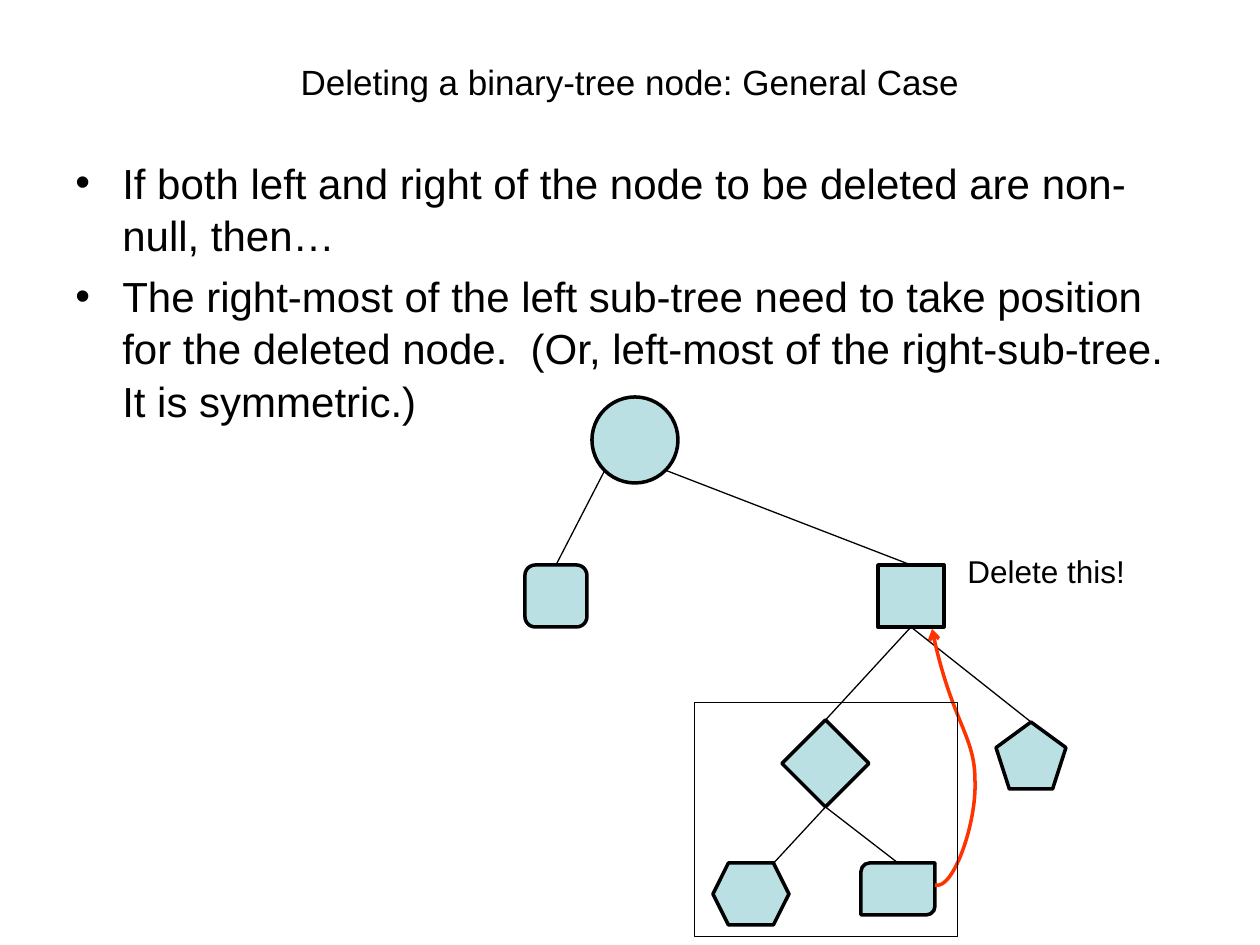
from lxml import etree
from pptx import Presentation
from pptx.dml.color import RGBColor
from pptx.enum.shapes import MSO_CONNECTOR, MSO_SHAPE
from pptx.enum.text import MSO_ANCHOR, PP_ALIGN
from pptx.oxml.ns import qn
from pptx.util import Pt

PX = 914400 / 126
FONT, BLACK, NODE_FILL, MOVE_COLOR = "Arial", "000000", "BBE0E3", "FF3300"
STRAIGHT = MSO_CONNECTOR.STRAIGHT
MIDDLE, CENTER = MSO_ANCHOR.MIDDLE, PP_ALIGN.CENTER

TITLE = "Deleting a binary-tree node: General Case"
POINTS = [
    "If both left and right of the node to be deleted are non-null, then…",
    "The right-most of the left sub-tree need to take position for the "
    "deleted node.  (Or, left-most of the right-sub-tree.  It is symmetric.)",
]
DELETE_LABEL = "Delete this!"

# node: (preset shape, left, top, width, height)
NODES = {
    "root": (MSO_SHAPE.OVAL, 592, 397, 86, 86),
    "deleted": (MSO_SHAPE.RECTANGLE, 878, 565, 66, 62),
    "root left": (MSO_SHAPE.ROUNDED_RECTANGLE, 525, 565, 62, 62),
    "subtree": (MSO_SHAPE.DIAMOND, 782, 720, 87, 87),
    "deleted right": (MSO_SHAPE.REGULAR_PENTAGON, 996, 722, 70, 67),
    "subtree left": (MSO_SHAPE.HEXAGON, 713, 863, 76, 62),
    "right-most": (MSO_SHAPE.ROUND_2_DIAG_RECTANGLE, 861, 863, 74, 52),
}
# A port is a point on a node, as fractions of its width and height
TOP, BOTTOM = (0.5, 0), (0.5, 1)
LOWER_LEFT, LOWER_RIGHT = (0.15, 0.85), (0.85, 0.85)
HEXAGON_TOP_RIGHT = (0.8, 0)
EDGES = [
    ("root", LOWER_LEFT, "root left", TOP),
    ("root", LOWER_RIGHT, "deleted", TOP),
    ("deleted", BOTTOM, "subtree", TOP),
    ("deleted", BOTTOM, "deleted right", TOP),
    ("subtree", BOTTOM, "subtree left", HEXAGON_TOP_RIGHT),
    ("subtree", BOTTOM, "right-most", TOP),
]
SUBTREE_FRAME = (694, 702, 263, 234)
# Start point, then two control points and an end point for each curve
MOVE_CURVE = [(935, 885), (953, 891), (977, 823), (975, 780),
              (975, 737), (951, 721), (932, 629)]


def emu(*lengths):
    return [round(length * PX) for length in lengths]


def rgb(color):
    return RGBColor.from_string(color)


def set_line(shape, color, width):
    shape.line.color.rgb = rgb(color)
    shape.line.width = Pt(width)


def add_run(paragraph, text, size):
    run = paragraph.add_run()
    run.text = text
    run.font.name, run.font.size = FONT, Pt(size)
    run.font.color.rgb = rgb(BLACK)


def add_text_frame(slide, *box):
    frame = slide.shapes.add_textbox(*emu(*box)).text_frame
    frame.word_wrap = True
    return frame


def add_bullets(frame, points, size):
    for index, point in enumerate(points):
        paragraph = frame.add_paragraph() if index else frame.paragraphs[0]
        paragraph.line_spacing = 1.04
        if index:
            paragraph.space_before = Pt(size * 0.2)
        properties = paragraph._p.get_or_add_pPr()
        indent = emu(47)[0]
        properties.set("marL", str(indent))
        properties.set("indent", str(-indent))
        etree.SubElement(properties, qn("a:buFont"), typeface=FONT)
        etree.SubElement(properties, qn("a:buChar"), char="•")
        add_run(paragraph, point, size)


def add_outlined(slide, preset, box, fill, width):
    shape = slide.shapes.add_shape(preset, *emu(*box))
    shape.shadow.inherit = False
    if fill:
        shape.fill.solid()
        shape.fill.fore_color.rgb = rgb(fill)
    else:
        shape.fill.background()
    set_line(shape, BLACK, width)


def port_position(node, port):
    _, left, top, width, height = NODES[node]
    return left + port[0] * width, top + port[1] * height


def add_edge(slide, parent, parent_port, child, child_port):
    ends = port_position(parent, parent_port) + port_position(child, child_port)
    edge = slide.shapes.add_connector(STRAIGHT, *emu(*ends))
    etree.SubElement(edge._element.spPr, qn("a:effectLst"))
    set_line(edge, BLACK, 0.75)


def add_curved_arrow(slide, points):
    """Draw the points as straight segments, then turn each three into a Bezier."""
    builder = slide.shapes.build_freeform(*points[0], scale=PX)
    builder.add_line_segments(points[1:], close=False)
    arrow = builder.convert_to_shape()
    segments = list(arrow._element.iter(qn("a:lnTo")))
    for start in range(0, len(segments), 3):
        curve = etree.Element(qn("a:cubicBezTo"))
        segments[start].addprevious(curve)
        for segment in segments[start:start + 3]:
            curve.append(segment[0])
            segment.getparent().remove(segment)
    arrow.shadow.inherit = False
    arrow.fill.background()
    set_line(arrow, MOVE_COLOR, 2)
    etree.SubElement(arrow.line._get_or_add_ln(), qn("a:tailEnd"), type="arrow")


def main():
    deck = Presentation()
    deck.slide_width, deck.slide_height = emu(1260, 945)
    slide = deck.slides.add_slide(deck.slide_layouts[6])

    title = add_text_frame(slide, 63, 38, 1134, 88)
    title.vertical_anchor = MIDDLE
    title.paragraphs[0].alignment = CENTER
    add_run(title.paragraphs[0], TITLE, 20)
    add_bullets(add_text_frame(slide, 63, 149, 1134, 697), POINTS, 24)

    for preset, *box in NODES.values():
        add_outlined(slide, preset, box, NODE_FILL, 2)
    for edge in EDGES:
        add_edge(slide, *edge)
    label = add_text_frame(slide, 955, 546, 284, 50)
    add_run(label.paragraphs[0], DELETE_LABEL, 18)
    add_curved_arrow(slide, MOVE_CURVE)
    add_outlined(slide, MSO_SHAPE.RECTANGLE, SUBTREE_FRAME, None, 0.25)

    deck.save("out.pptx")


if __name__ == "__main__":
    main()
